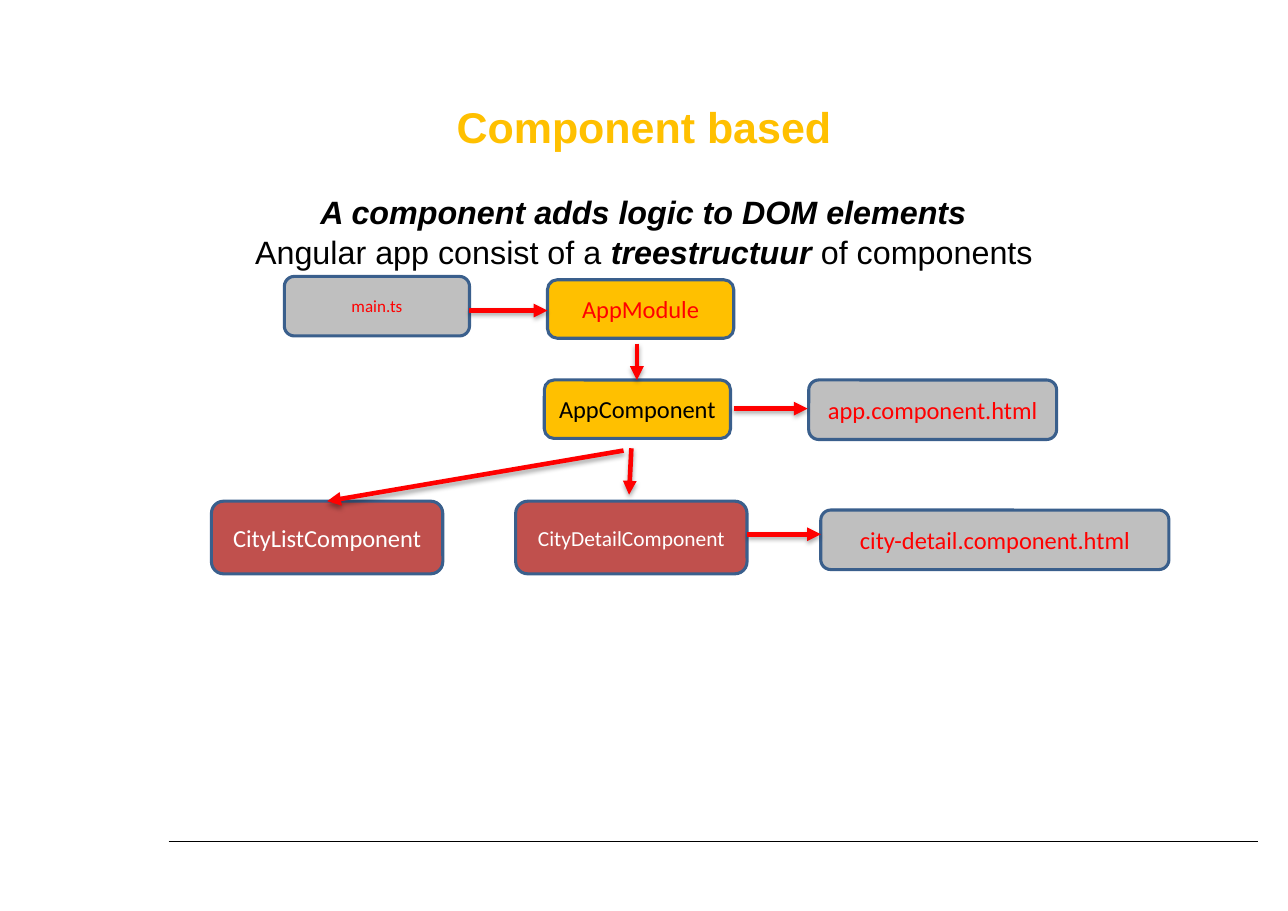
from lxml import etree
from pptx import Presentation
from pptx import util as u
from pptx.dml.color import RGBColor
from pptx.enum import shapes, text
from pptx.oxml import parse_xml
from pptx.oxml.ns import nsdecls, qn

Pt = u.Pt

COLORS = {"amber": "FFC000", "gray": "BFBFBF", "brick": "C0504D", "outline": "3A5F8C",
          "red": "FF0000", "black": "000000", "white": "FFFFFF"}

# Each paragraph: size, colour, space before, runs of (text, bold, italic)
TITLE = [
    (28.1, "amber", 0, [("Component based", True, False)]),
    (21.1, "black", 26, [("A component adds logic to DOM elements", True, True)]),
    (21.1, "black", 1.2, [("Angular app consist of a ", False, False),
                          ("treestructuur", True, True),
                          (" of components", False, False)]),
]
TITLE_BOX = (151.2, 80.6, 539.3, 105.1)

# Text, box (left, top, width, height), fill, text colour, text size
BOXES = [
    ("main.ts", (185.8, 180.7, 121, 38.9), "gray", "red", 11.1),
    ("AppModule", (357.8, 182.9, 121.7, 38.2), "amber", "red", 16),
    ("AppComponent", (355.7, 248.4, 121.7, 38.2), "amber", "black", 16),
    ("app.component.html", (528.5, 248.4, 162, 38.9), "gray", "red", 16),
    ("CityListComponent", (138.2, 327.6, 151.2, 47.5), "brick", "white", 16),
    ("CityDetailComponent", (337, 327.6, 151.2, 47.5), "brick", "white", 14),
    ("city-detail.component.html", (536.4, 333.4, 227.5, 38.9), "gray", "red", 16),
]

# From x, from y, to x, to y
ARROWS = [
    (306.7, 203, 357.8, 203),      # main.ts to AppModule
    (416.2, 224.6, 416.2, 248.4),  # AppModule to AppComponent
    (479.5, 267.1, 527.8, 267.1),  # AppComponent to its template
    (407.5, 294.5, 213.8, 327.6),  # AppComponent to CityListComponent
    (412.6, 293, 411.1, 323.3),    # AppComponent to CityDetailComponent
    (488.2, 349.2, 536.4, 349.2),  # CityDetailComponent to its template
]
FOOTER_LINE = (110.2, 550.1, 822.2, 550.1)

NO_EFFECT = f"<a:effectLst {nsdecls('a')}/>"
SHADOW = (f"<a:effectLst {nsdecls('a')}>"
          '<a:outerShdw blurRad="39370" dist="22860" dir="5400000" rotWithShape="0">'
          '<a:srgbClr val="000000"><a:alpha val="35000"/></a:srgbClr>'
          "</a:outerShdw></a:effectLst>")


def rgb(name):
    return RGBColor.from_string(COLORS[name])


def set_attrs(obj, **values):
    for name, value in values.items():
        setattr(obj, name, value)


def add_run(p, content, font, size, color, bold=False, italic=False):
    r = p.add_run()
    r.text = content
    set_attrs(r.font, name=font, size=Pt(size), bold=bold, italic=italic)
    r.font.color.rgb = rgb(color)


def add_title(slide):
    sp = slide.shapes.title
    set_attrs(sp, **dict(zip(("left", "top", "width", "height"), map(Pt, TITLE_BOX))))
    tf = sp.text_frame
    # The deeper bottom margin lifts the centred text above the diagram
    set_attrs(tf, word_wrap=True, auto_size=text.MSO_AUTO_SIZE.NONE,
              vertical_anchor=text.MSO_ANCHOR.MIDDLE, margin_left=Pt(7.2),
              margin_right=Pt(7.2), margin_top=Pt(7.2), margin_bottom=Pt(30.6))
    for i, (size, color, before, runs) in enumerate(TITLE):
        p = tf.add_paragraph() if i else tf.paragraphs[0]
        set_attrs(p, alignment=text.PP_ALIGN.CENTER, space_before=Pt(before),
                  space_after=Pt(0), line_spacing=1.0)
        for content, bold, italic in runs:
            add_run(p, content, "Arial", size, color, bold, italic)


def add_box(slide, content, box, fill, color, size):
    sp = slide.shapes.add_shape(shapes.MSO_SHAPE.ROUNDED_RECTANGLE, *map(Pt, box))
    sp.shadow.inherit = False
    sp.fill.solid()
    sp.fill.fore_color.rgb = rgb(fill)
    sp.line.color.rgb = rgb("outline")
    sp.line.width = Pt(2)
    tf = sp.text_frame
    set_attrs(tf, word_wrap=True, vertical_anchor=text.MSO_ANCHOR.MIDDLE)
    p = tf.paragraphs[0]
    p.alignment = text.PP_ALIGN.CENTER
    add_run(p, content, "Calibri", size, color)


def add_line(slide, ends, color, width, arrow=False):
    line = slide.shapes.add_connector(shapes.MSO_CONNECTOR.STRAIGHT, *map(Pt, ends))
    line.line.color.rgb = rgb(color)
    line.line.width = Pt(width)
    if arrow:
        etree.SubElement(line.line._get_or_add_ln(), qn("a:tailEnd"), type="triangle")
    line._element.spPr.append(parse_xml(SHADOW if arrow else NO_EFFECT))


def main():
    prs = Presentation()
    set_attrs(prs, slide_width=Pt(841.68), slide_height=Pt(595.44))
    slide = prs.slides.add_slide(prs.slide_layouts[5])
    add_line(slide, FOOTER_LINE, "black", 0.94)
    add_title(slide)
    for box in BOXES:
        add_box(slide, *box)
    for ends in ARROWS:
        add_line(slide, ends, "red", 3, arrow=True)
    prs.save("out.pptx")


if __name__ == "__main__":
    main()
